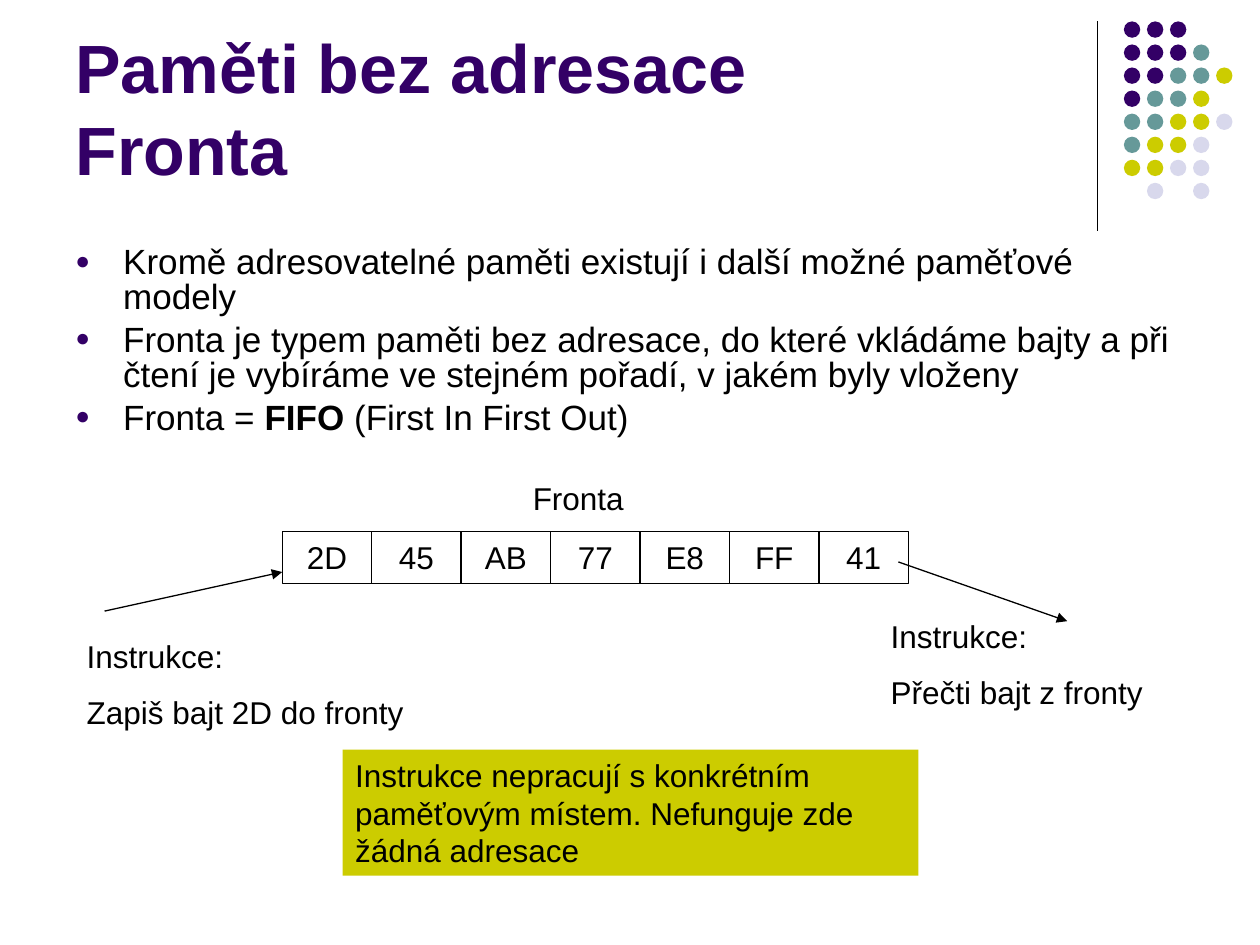
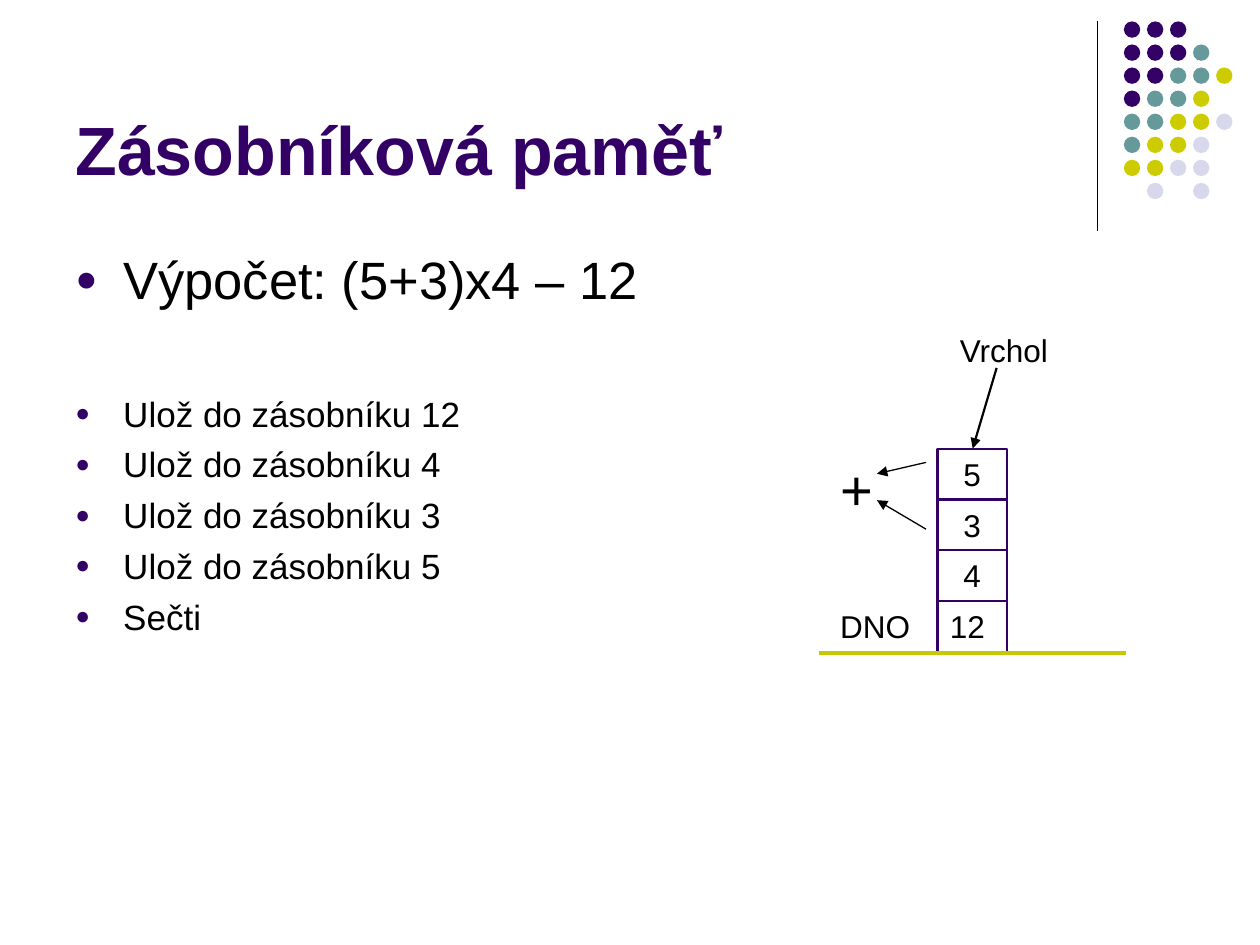
from lxml import etree
from pptx import Presentation
from pptx import util as u
from pptx.dml.color import RGBColor
from pptx.enum import shapes, text
from pptx.oxml.ns import qn

PURPLE = RGBColor(0x33, 0x00, 0x66)
TEAL = RGBColor(0x66, 0x99, 0x99)
YELLOW = RGBColor(0xCC, 0xCC, 0x00)
LILAC = RGBColor(0xD8, 0xD8, 0xEC)
OLIVE = RGBColor(0xC8, 0xC8, 0x00)
BLACK = RGBColor(0x00, 0x00, 0x00)

FONT = "Arial"
COLS, ROWS = 100, 75  # the slide grid
WIDTH, HEIGHT = u.Inches(10), u.Inches(7.5)

DOTS = ["PPP", "PPPT", "PPTTY", "PTTY", "TTYYL", "TYYL", "YYLL", " L L"]
DOT_COLORS = {"P": PURPLE, "T": TEAL, "Y": YELLOW, "L": LILAC}


def grid(*values):
    """Turn alternating columns and rows into slide lengths."""
    units = (WIDTH / COLS, HEIGHT / ROWS)
    return [u.Emu(round(v * units[i % 2])) for i, v in enumerate(values)]


def add_runs(p, runs, size, color=BLACK, bold=False):
    """Add runs to a paragraph; a run is a string or a (string, bold) pair."""
    for run in [runs] if isinstance(runs, str) else runs:
        words, strong = (run, bold) if isinstance(run, str) else run
        r = p.add_run()
        r.text = words
        r.font.name, r.font.size, r.font.bold = FONT, u.Pt(size), strong
        r.font.color.rgb = color


def write(sp, paragraphs, size=18, gap=0, align=text.PP_ALIGN.LEFT):
    tf = sp.text_frame
    tf.word_wrap = True
    tf.vertical_anchor = text.MSO_ANCHOR.TOP
    for i, runs in enumerate(paragraphs):
        p = tf.add_paragraph() if i else tf.paragraphs[0]
        p.alignment = align
        if i:
            p.space_before = u.Pt(gap)
        add_runs(p, runs, size)


def add_label(s, box, *paragraphs, size=18):
    write(s.shapes.add_textbox(*grid(*box)), paragraphs, size, gap=10)


def add_shape(parent, kind, box, fill=None, line=None, weight=0.75):
    sp = parent.shapes.add_shape(kind, *grid(*box))
    sp.shadow.inherit = False
    for part, color in ((sp.fill, fill), (sp.line.fill, line)):
        if color is None:
            part.background()
        else:
            part.solid()
            part.fore_color.rgb = color
    if line is not None:
        sp.line.width = u.Pt(weight)
    return sp


def add_cell(s, box, value, line=BLACK, weight=0.75, align=text.PP_ALIGN.CENTER):
    sp = add_shape(s, shapes.MSO_SHAPE.RECTANGLE, box, line=line, weight=weight)
    write(sp, [value], align=align)


def add_line(s, ends, color=BLACK, weight=0.75, arrow=False):
    c = s.shapes.add_connector(shapes.MSO_CONNECTOR.STRAIGHT, *grid(*ends))
    c.line.color.rgb = color
    c.line.width = u.Pt(weight)
    if arrow:
        etree.SubElement(c.line._get_or_add_ln(), qn("a:tailEnd"), type="triangle")
    etree.SubElement(c._element.spPr, qn("a:effectLst"))


def add_corner(s):
    add_line(s, (87.1, 1.7, 87.1, 18.3))
    dots = s.shapes.add_group_shape()
    for row, marks in enumerate(DOTS):
        for col, mark in enumerate(marks):
            if mark in DOT_COLORS:
                box = (89.2 + 1.83 * col, 1.7 + 1.83 * row, 1.3, 1.3)
                add_shape(dots, shapes.MSO_SHAPE.OVAL, box, DOT_COLORS[mark])


def add_title(s, *lines):
    tf = s.shapes.add_textbox(*grid(5, 1.3, 82.5, 14.2)).text_frame
    tf.word_wrap = True
    tf.vertical_anchor = text.MSO_ANCHOR.BOTTOM
    p = tf.paragraphs[0]
    for i, line in enumerate(lines):
        if i:
            p.add_line_break()
        add_runs(p, line, 39, PURPLE, bold=True)


def add_bullets(s, box, items, spacing=1.0):
    """Add a list of (runs, size, space before) items."""
    tf = s.shapes.add_textbox(*grid(*box)).text_frame
    tf.word_wrap = True
    tf.margin_top = u.Inches(0.08)
    for i, (runs, size, gap) in enumerate(items):
        p = tf.add_paragraph() if i else tf.paragraphs[0]
        pPr = p._p.get_or_add_pPr()
        pPr.set("marL", str(u.Inches(0.38)))
        pPr.set("indent", str(-u.Inches(0.38)))
        color = etree.SubElement(pPr, qn("a:buClr"))
        etree.SubElement(color, qn("a:srgbClr"), val=str(PURPLE))
        etree.SubElement(pPr, qn("a:buSzPct"), val="70000")
        etree.SubElement(pPr, qn("a:buFont"), typeface=FONT)
        etree.SubElement(pPr, qn("a:buChar"), char="●")
        p.line_spacing = spacing
        if i:
            p.space_before = u.Pt(gap)
        add_runs(p, runs, size)


def new_slide(prs, *title):
    s = prs.slides.add_slide(prs.slide_layouts[6])
    add_corner(s)
    add_title(s, *title)
    return s


def queue_slide(prs):
    s = new_slide(prs, "Paměti bez adresace", "Fronta")
    points = [
        "Kromě adresovatelné paměti existují i další možné paměťové modely",
        "Fronta je typem paměti bez adresace, do které vkládáme bajty a při "
        "čtení je vybíráme ve stejném pořadí, v jakém byly vloženy",
        ["Fronta = ", ("FIFO", True), " (First In First Out)"],
    ]
    add_bullets(s, (5, 18.8, 90, 17.1), [(p, 20, 4.5) for p in points], 0.83)

    for i, value in enumerate(["2D", "45", "AB", "77", "E8", "FF", "41"]):
        add_cell(s, (22.4 + 7.1 * i, 42.2, 7.1, 4.1), value)
    add_line(s, (8.3, 48.5, 22.4, 45.4), arrow=True)
    add_label(s, (5.9, 50.1, 32.3, 8.5), "Instrukce:", "Zapiš bajt 2D do fronty")
    add_line(s, (71.3, 44.6, 84.7, 49.3), arrow=True)
    add_label(s, (69.7, 48.5, 25.2, 8.5), "Instrukce:", "Přečti bajt z fronty")
    add_label(s, (41.3, 37.5, 11.8, 4), "Fronta")

    note = add_shape(s, shapes.MSO_SHAPE.RECTANGLE, (27.2, 59.5, 45.7, 10), YELLOW)
    write(note, ["Instrukce nepracují s konkrétním paměťovým místem. "
                 "Nefunguje zde žádná adresace"])


def stack_slide(prs):
    s = new_slide(prs, "Zásobníková paměť")
    steps = [f"Ulož do zásobníku {n}" for n in (12, 4, 3, 5)] + ["Sečti"]
    items = [("Výpočet: (5+3)x4 – 12", 30, 0)]
    items += [(step, 20, 5 if i else 47) for i, step in enumerate(steps)]
    add_bullets(s, (5, 18.8, 47.4, 48.2), items)

    for i, value in enumerate(["12", "4", "3", "5"]):
        align = text.PP_ALIGN.CENTER if i else text.PP_ALIGN.LEFT
        box = (74.4, 47.7 - 4.03 * i, 5.5, 4.03)
        add_cell(s, box, value, PURPLE, 1.25, align)
    add_line(s, (65, 51.8, 89.4, 51.8), OLIVE, 2.25)
    add_label(s, (65.7, 47.7, 8.7, 4), "DNO")
    add_label(s, (65.7, 35.6, 7.9, 6.4), "+", size=32)
    add_line(s, (73.5, 36.7, 69.6, 37.6), arrow=True)
    add_line(s, (73.5, 42, 69.6, 39.7), arrow=True)
    add_label(s, (75.2, 25.8, 11, 4), "Vrchol")
    add_line(s, (79.1, 29.2, 77.2, 35.6), weight=1.25, arrow=True)


def main():
    prs = Presentation()
    prs.slide_width, prs.slide_height = WIDTH, HEIGHT
    queue_slide(prs)
    stack_slide(prs)
    prs.save("out.pptx")


if __name__ == "__main__":
    main()
